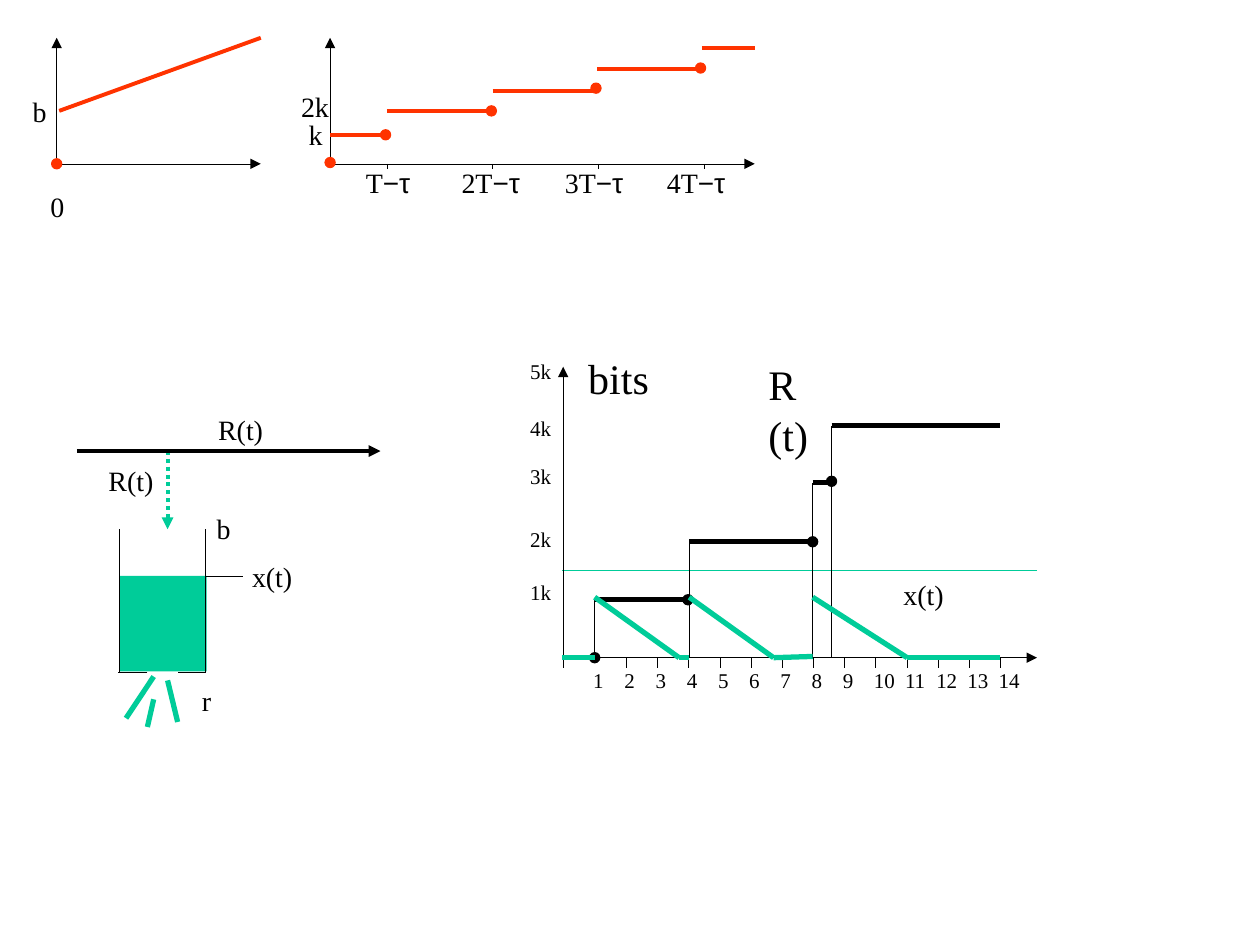
"""Build a slide of arrival curves and a leaky bucket with its rate and level plots."""
from lxml.etree import SubElement
from pptx import Presentation
from pptx.dml.color import RGBColor
from pptx.enum.dml import MSO_LINE
from pptx.enum.shapes import MSO_CONNECTOR, MSO_SHAPE
from pptx.enum.text import MSO_ANCHOR, MSO_AUTO_SIZE, PP_ALIGN
from pptx.oxml.ns import qn
from pptx.util import Inches, Pt

BLACK = RGBColor(0x00, 0x00, 0x00)
RED = RGBColor(0xFF, 0x33, 0x00)
GREEN = RGBColor(0x00, 0xCC, 0x99)
SERIF = "Times New Roman"
SANS = "Arial"

prs = Presentation()
prs.slide_width, prs.slide_height = Inches(10), Inches(7.5)
slide = prs.slides.add_slide(prs.slide_layouts[6])
shapes = slide.shapes


def draw_line(x1, y1, x2, y2, color=BLACK, width=0.25, arrow=None):
    line = shapes.add_connector(
        MSO_CONNECTOR.STRAIGHT, Inches(x1), Inches(y1), Inches(x2), Inches(y2))
    line.line.color.rgb = color
    line.line.width = Pt(width)
    properties = line.element.spPr
    if arrow:
        SubElement(properties.find(qn("a:ln")), qn(arrow), type="triangle")
    SubElement(properties, qn("a:effectLst"))
    return line


def write_label(left, top, width, height, words, size=16, centred=True):
    label = shapes.add_textbox(Inches(left), Inches(top), Inches(width), Inches(height))
    frame = label.text_frame
    frame.word_wrap = False
    frame.auto_size = MSO_AUTO_SIZE.SHAPE_TO_FIT_TEXT
    frame.vertical_anchor = MSO_ANCHOR.MIDDLE if centred else MSO_ANCHOR.TOP
    paragraph = frame.paragraphs[0]
    paragraph.alignment = PP_ALIGN.CENTER if centred else PP_ALIGN.LEFT
    for word, font in words:
        run = paragraph.add_run()
        run.text = word
        run.font.name = font
        run.font.size = Pt(size)
        run.font.color.rgb = BLACK


for origin, end in [(0.45, 2.07), (2.62, 5.99)]:
    draw_line(origin, 0.3, origin, 1.3, arrow="a:headEnd")
    draw_line(origin, 1.3, end, 1.3, arrow="a:tailEnd")

draw_line(0.47, 0.88, 2.07, 0.3, RED, 2.25)
for start, end, height in [(2.62, 3.07, 1.07), (3.07, 3.91, 0.88), (3.91, 4.74, 0.72),
                           (4.74, 5.57, 0.55), (5.57, 5.99, 0.38)]:
    draw_line(start, height, end, height, RED, 2.25)

for multiple in range(4):
    tick = 3.07 + 0.84 * multiple
    draw_line(tick, 1.3, tick, 1.34)

for left, width, period in [(2.8, 0.56, "T"), (3.56, 0.67, "2T"),
                            (4.38, 0.67, "3T"), (5.19, 0.67, "4T")]:
    write_label(left, 1.26, width, 0.37, [(period, SERIF), ("−τ", SANS)])

draw_line(4.46, 4.53, 8.23, 4.53, GREEN, 0.75)
inflow = draw_line(1.33, 3.58, 1.33, 4.2, GREEN, 2.25, "a:tailEnd")
inflow.line.dash_style = MSO_LINE.ROUND_DOT

water = shapes.add_shape(
    MSO_SHAPE.RECTANGLE, Inches(0.95), Inches(4.57), Inches(0.69), Inches(0.76))
water.shadow.inherit = False
water.fill.solid()
water.fill.fore_color.rgb = GREEN
water.line.fill.background()

draw_line(0.61, 3.58, 3.02, 3.58, BLACK, 2.25, "a:tailEnd")
for bucket_edge in [(0.95, 4.2, 0.95, 5.34), (1.63, 4.2, 1.63, 5.34),
                    (1.63, 5.34, 1.41, 5.34), (1.17, 5.34, 0.94, 5.34)]:
    draw_line(*bucket_edge, BLACK, 0.75)
for leak in [(1.33, 5.4, 1.41, 5.73), (1.22, 5.37, 1, 5.7), (1.22, 5.55, 1.17, 5.77)]:
    draw_line(*leak, GREEN, 3)
draw_line(1.63, 4.57, 1.93, 4.57)

for left, top, width, name in [
        (0.16, 0.7, 0.31, "b"), (0.3, 1.45, 0.31, "0"), (2.35, 0.88, 0.31, "k"),
        (2.29, 0.66, 0.42, "2k"), (1.63, 3.22, 0.56, "R(t)"), (0.76, 3.63, 0.56, "R(t)"),
        (1.5, 5.37, 0.28, "r"), (1.62, 4.01, 0.31, "b"), (1.9, 4.39, 0.52, "x(t)"),
        (7.07, 4.53, 0.52, "x(t)")]:
    write_label(left, top, width, 0.37, [(name, SERIF)])

draw_line(4.47, 5.22, 8.23, 5.22, arrow="a:tailEnd")
draw_line(4.47, 2.91, 4.47, 5.3, arrow="a:headEnd")
for start, end, height in [(4.48, 4.72, 5.22), (4.72, 5.47, 4.76), (5.47, 6.45, 4.3),
                           (6.45, 6.6, 3.83), (6.6, 7.94, 3.38)]:
    draw_line(start, height, end, height, BLACK, 3)
for arrival, height in [(4.72, 4.75), (5.47, 4.3), (6.45, 3.83), (6.6, 3.38)]:
    draw_line(arrival, 5.22, arrival, height)

for color, centres in [
        (RED, [(0.45, 1.3), (2.62, 1.29), (3.06, 1.07), (3.9, 0.88), (4.73, 0.7), (5.56, 0.54)]),
        (BLACK, [(4.72, 5.22), (5.46, 4.76), (6.45, 4.3), (6.6, 3.82)])]:
    for x, y in centres:
        dot = shapes.add_shape(
            MSO_SHAPE.OVAL, Inches(x - 0.04), Inches(y - 0.04), Inches(0.08), Inches(0.08))
        dot.shadow.inherit = False
        dot.fill.solid()
        dot.fill.fore_color.rgb = color
        dot.line.color.rgb = color
        dot.line.width = Pt(0.75)

time_step = (7.94 - 4.97) / 12
for time in range(1, 15):
    offset = (time - 1) * time_step
    if time > 1:
        tick = 4.97 + offset - time_step
        draw_line(tick, 5.3, tick, 5.22)
    write_label(4.61 + offset, 5.25, 0.28 if time < 10 else 0.37, 0.3,
                [(str(time), SERIF)], 12, False)

for count, top in enumerate([4.55, 4.13, 3.63, 3.25, 2.8], start=1):
    write_label(4.11, top, 0.37, 0.3, [(f"{count}k", SERIF)], 12, False)
write_label(6, 2.8, 0.79, 0.5, [("R (t)", SERIF)], 24, False)
write_label(4.57, 2.75, 0.68, 0.5, [("bits", SERIF)], 24, False)

for level in [(4.46, 5.22, 4.72, 5.22), (4.72, 4.74, 5.39, 5.22), (5.47, 4.74, 6.14, 5.22),
              (5.39, 5.22, 5.47, 5.22), (6.14, 5.22, 6.45, 5.21), (6.45, 4.74, 7.2, 5.22),
              (7.2, 5.22, 7.94, 5.22)]:
    draw_line(*level, GREEN, 3)

prs.save("out.pptx")
